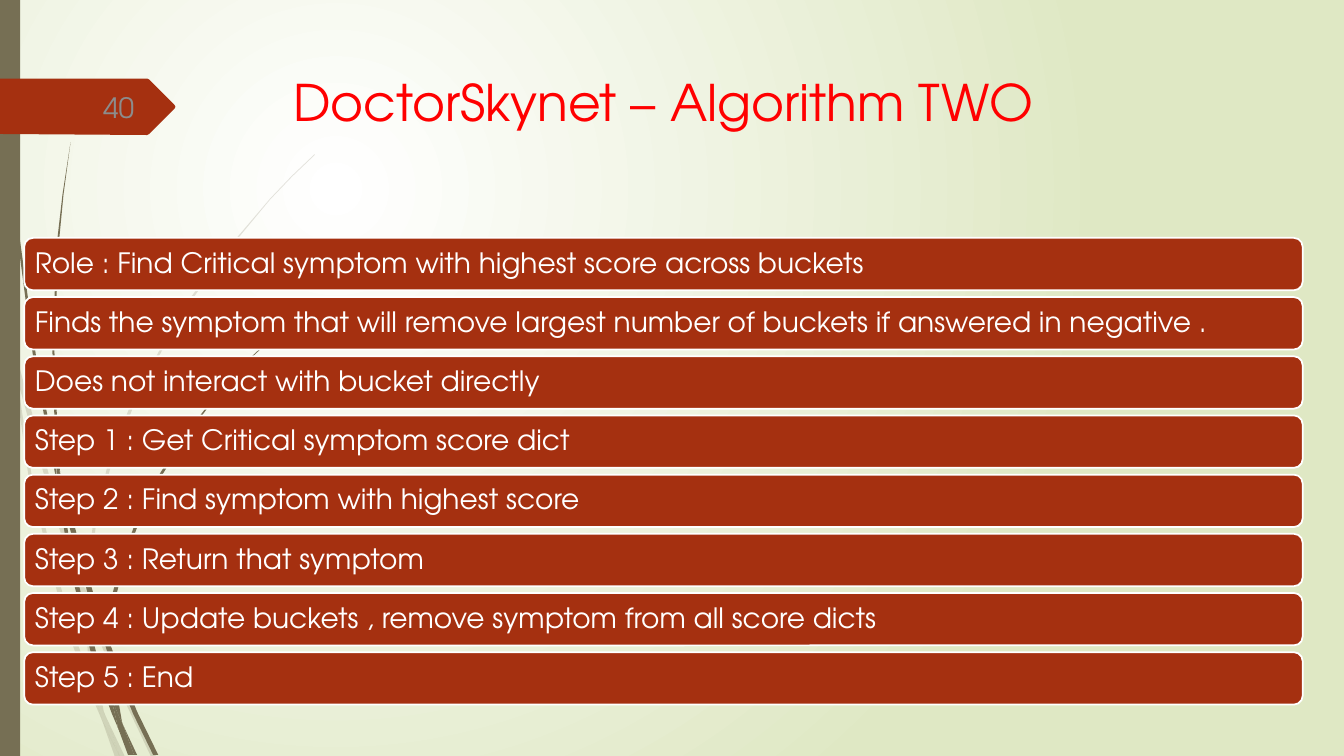
from lxml.etree import SubElement
from pptx import Presentation
from pptx.dml.color import RGBColor
from pptx.enum.shapes import MSO_SHAPE
from pptx.enum.text import MSO_ANCHOR, PP_ALIGN
from pptx.oxml.ns import qn
from pptx.util import Inches, Pt

FONT = "TeX Gyre Adventor"
COLORS = {"white": "FFFFFF", "pale": "DFE8C4", "olive": "766F54",
          "rust": "A53010", "title": "FF0000", "number": "8C8C8C"}
STEPS = [
    "Role : Find Critical symptom with highest score across buckets",
    "Finds the symptom that will remove largest number of buckets if answered in negative .",
    "Does not interact with bucket directly",
    "Step 1 : Get Critical symptom score dict",
    "Step 2 : Find symptom with highest score",
    "Step 3 : Return that symptom",
    "Step 4 : Update buckets , remove symptom from all score dicts",
    "Step 5 : End",
]
FIRST_TOP, LAST_TOP = 2.36, 6.47
PALE_BLADES = [
    [(0.11, 3.5), (0.09, 3.22), (0, 2.82), (0, 2.99), (0.1, 3.44)],
    [(0.58, 5.22), (0.84, 5.99), (0.85, 5.86), (0.62, 5.2), (0.14, 3.45), (0.17, 3.76)],
    [(0.92, 6.07), (0.88, 5.96), (0.88, 6.1), (1.23, 6.94), (1.5, 7.51), (1.55, 7.51),
     (1.27, 6.92)],
    [(1.19, 7.51), (1.24, 7.51), (1.05, 7.11)],
    [(0.93, 6.83), (0.7, 6.19), (0.31, 4.69), (0.17, 3.76), (0.11, 3.5), (0.28, 4.7),
     (0.65, 6.21), (0.92, 6.93), (1.01, 7.14), (0.99, 7.07)],
    [(0.84, 5.99), (0.87, 6.46), (0.93, 6.83), (0.96, 6.92), (1.05, 7.11), (1.03, 7.06),
     (0.91, 6.46), (0.88, 6.1), (0.88, 6.08)],
    [(0.88, 5.84), (0.95, 5.22), (1.1, 4.62), (1.32, 4.04), (1.6, 3.49), (1.92, 2.95),
     (2.29, 2.45), (2.68, 1.98), (2.9, 1.75), (3.12, 1.54), (3.12, 1.53), (2.89, 1.75),
     (2.68, 1.97), (2.28, 2.44), (1.9, 2.94), (1.58, 3.48), (1.29, 4.03), (1.07, 4.61),
     (0.92, 5.22), (0.85, 5.84), (0.85, 5.86), (0.88, 5.96)],
    [(1.01, 7.14), (1.14, 7.51), (1.19, 7.51)],
    [(0.88, 6.08), (0.88, 6.1), (0.88, 5.96), (0.85, 5.86), (0.84, 5.99)],
    [(0.96, 6.92), (0.93, 6.83), (0.99, 7.07), (1.01, 7.14), (1.19, 7.51), (1.05, 7.11)],
]
DARK_BLADES = [
    [(0.07, 1.1), (0.17, 2.33), (0.33, 3.55), (0.56, 4.77), (0.57, 4.81), (0.55, 4.57),
     (0.55, 4.53), (0.36, 3.55), (0.19, 2.32), (0.08, 1.09), (0.05, 0.48), (0.04, 0),
     (0.03, 0), (0.04, 0.48)],
    [(0.88, 5.92), (1.06, 6.45), (1.06, 6.33), (1.06, 6.31), (0.93, 5.9), (0.6, 4.72),
     (0.64, 5.05)],
    [(1.13, 6.49), (1.1, 6.41), (1.11, 6.56), (1.32, 7.08), (1.52, 7.49), (1.57, 7.49),
     (1.36, 7.06)],
    [(1.1, 6.91), (0.98, 6.57), (0.72, 5.56), (0.64, 5.05), (0.57, 4.77), (0.68, 5.57),
     (0.93, 6.59), (1.11, 7.08), (1.17, 7.22), (1.16, 7.17)],
    [(0.6, 4.72), (0.58, 4.53), (0.54, 3.49), (0.58, 2.45), (0.63, 1.93), (0.7, 1.41),
     (0.62, 1.93), (0.56, 2.45), (0.52, 3.49), (0.55, 4.49)],
    [(1.33, 7.49), (1.36, 7.49), (1.22, 7.19)],
    [(0.57, 4.77), (0.64, 5.05), (0.6, 4.72), (0.55, 4.49), (0.55, 4.53)],
    [(1.11, 6.33), (1.15, 5.92), (1.25, 5.52), (1.4, 5.13), (1.58, 4.76), (1.8, 4.4),
     (2.05, 4.06), (2.31, 3.74), (2.45, 3.59), (2.61, 3.44), (2.6, 3.44), (2.45, 3.58),
     (2.31, 3.73), (2.04, 4.05), (1.78, 4.39), (1.56, 4.74), (1.37, 5.12), (1.22, 5.51),
     (1.11, 5.91), (1.06, 6.31), (1.1, 6.41)],
    [(1.17, 7.22), (1.27, 7.49), (1.31, 7.49)],
    [(1.06, 6.45), (1.1, 6.91), (1.16, 7.06), (1.22, 7.19), (1.21, 7.16), (1.11, 6.56),
     (1.09, 6.51)],
    [(1.06, 6.45), (1.09, 6.51), (1.11, 6.56), (1.1, 6.41), (1.06, 6.31), (1.06, 6.33)],
    [(1.16, 7.06), (1.1, 6.91), (1.16, 7.17), (1.17, 7.22), (1.3, 7.49), (1.33, 7.49),
     (1.22, 7.19)],
]
NUMBER_TAG = [(0, 0.78), (1.46, 0.78), (1.48, 0.79), (1.73, 1.04), (1.74, 1.06),
              (1.73, 1.08), (1.48, 1.33), (1.46, 1.34), (0, 1.33)]


def rgb(name):
    """Return the named colour."""
    return RGBColor.from_string(COLORS[name])


def paint_background(slide):
    """Fill the background with a circular gradient."""
    fill = slide.background.fill
    fill.gradient()
    for stop, name in zip(fill.gradient_stops, ("white", "pale")):
        stop.color.rgb = rgb(name)
    grad = slide.element.find(".//" + qn("a:gradFill"))
    grad.remove(grad.find(qn("a:lin")))
    circle = SubElement(grad, qn("a:path"), path="circle")
    SubElement(circle, qn("a:fillToRect"), l="50000", t="50000", r="100000", b="100000")


def style_shape(sp, color, alpha=None, line=None):
    """Set fill, transparency and outline without a shadow."""
    sp.shadow.inherit = False
    sp.fill.solid()
    sp.fill.fore_color.rgb = rgb(color)
    if alpha:
        clr = sp.element.spPr.find(qn("a:solidFill"))[0]
        SubElement(clr, qn("a:alpha"), val=str(alpha * 1000))
    if line:
        sp.line.color.rgb = rgb(line)
        sp.line.width = Pt(1.25)
    else:
        sp.line.fill.background()


def add_outline(slide, points, color, alpha=None):
    """Draw a closed outline through points in inches."""
    start, *rest = [(Inches(x), Inches(y)) for x, y in points]
    builder = slide.shapes.build_freeform(*start)
    builder.add_line_segments(rest, close=True)
    style_shape(builder.convert_to_shape(), color, alpha)


def add_box(slide, kind, left, top, width, height, **style):
    """Add a styled preset shape."""
    sp = slide.shapes.add_shape(kind, Inches(left), Inches(top), Inches(width), Inches(height))
    style_shape(sp, **style)
    return sp


def add_textbox(slide, left, top, width, height):
    """Add an empty text box and return its text frame."""
    sp = slide.shapes.add_textbox(Inches(left), Inches(top), Inches(width), Inches(height))
    return sp.text_frame


def write_text(tf, text, size=20, color="white", align=PP_ALIGN.LEFT,
               anchor=MSO_ANCHOR.MIDDLE, inset=None, spacing=None):
    """Write one formatted paragraph in a text frame."""
    tf.word_wrap = True
    tf.vertical_anchor = anchor
    if inset is not None:
        tf.margin_left = tf.margin_right = Inches(inset)
        tf.margin_top = tf.margin_bottom = Inches(inset)
    p = tf.paragraphs[0]
    p.alignment = align
    if spacing:
        p.line_spacing = spacing
    r = p.add_run()
    r.text = text
    r.font.name = FONT
    r.font.size = Pt(size)
    r.font.color.rgb = rgb(color)


def main():
    """Build the slide and save it."""
    prs = Presentation()
    prs.slide_width, prs.slide_height = Inches(13.33), Inches(7.5)
    slide = prs.slides.add_slide(prs.slide_layouts[6])
    paint_background(slide)
    for blade in PALE_BLADES:
        add_outline(slide, blade, "olive", alpha=20)
    for blade in DARK_BLADES:
        add_outline(slide, blade, "olive")
    add_box(slide, MSO_SHAPE.RECTANGLE, 0, 0, 0.2, 7.5, color="olive")
    add_outline(slide, NUMBER_TAG, "rust")
    write_text(add_textbox(slide, 2.58, 0.66, 8, 1.27), "DoctorSkynet – Algorithm TWO",
               size=36, color="title", align=PP_ALIGN.CENTER, anchor=MSO_ANCHOR.TOP)
    pitch = (LAST_TOP - FIRST_TOP) / (len(STEPS) - 1)
    for i, step in enumerate(STEPS):
        bar = add_box(slide, MSO_SHAPE.ROUNDED_RECTANGLE, 0.24, FIRST_TOP + i * pitch,
                      12.68, 0.52, color="rust", line="white")
        write_text(bar.text_frame, step, inset=0.08, spacing=0.9)
    write_text(add_textbox(slide, 0.58, 0.86, 0.85, 0.4), "40",
               color="number", align=PP_ALIGN.RIGHT)
    prs.save("out.pptx")


if __name__ == "__main__":
    main()
